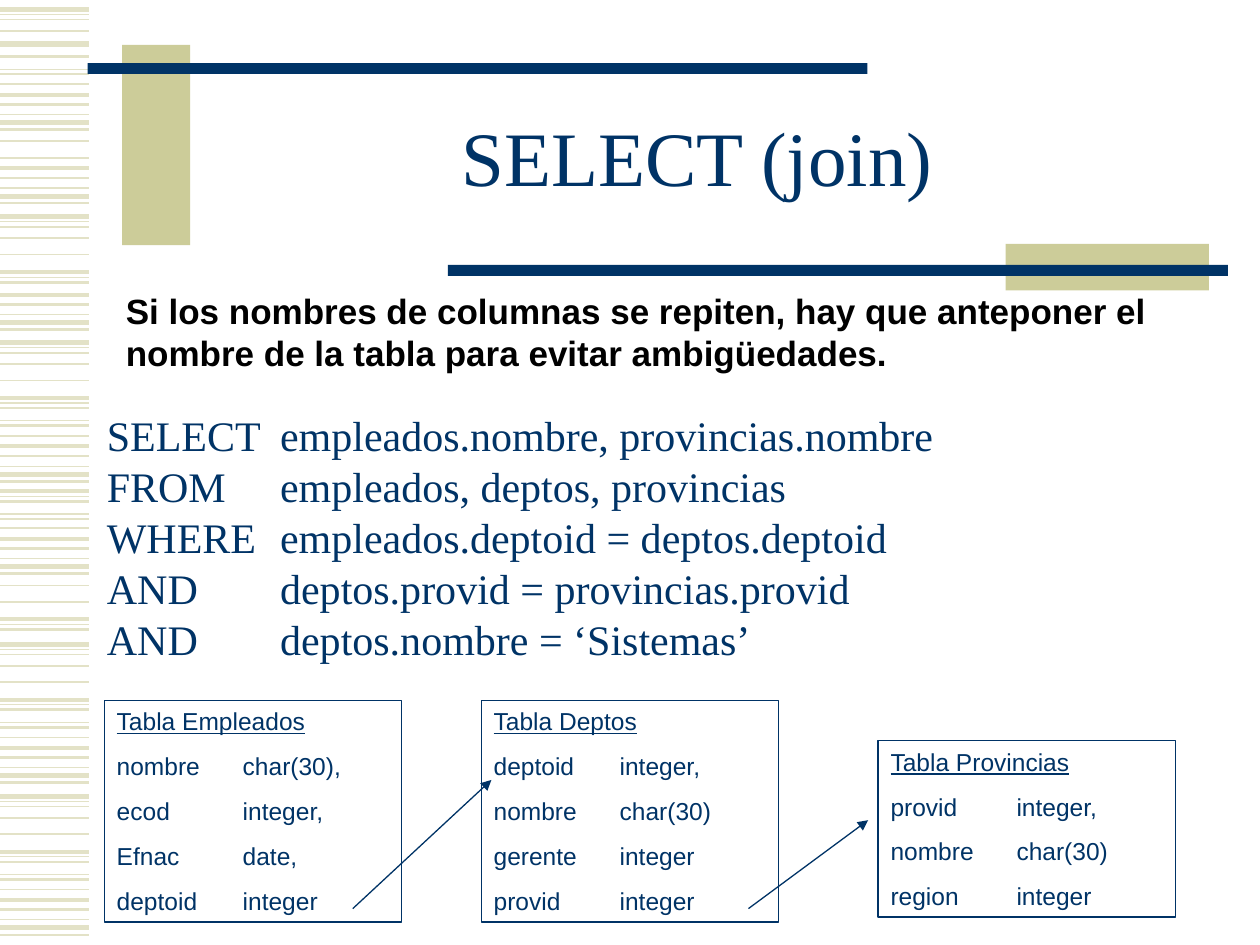
from typing import NamedTuple

from lxml.etree import SubElement
from pptx import Presentation
from pptx.dml.color import RGBColor
from pptx.enum.shapes import MSO_CONNECTOR, MSO_SHAPE
from pptx.enum.text import MSO_ANCHOR, MSO_AUTO_SIZE, PP_ALIGN
from pptx.oxml.ns import qn
from pptx.util import Pt

COLORS = {"navy": "003366", "khaki": "CCCC99", "stripe": "E3E2C7", "black": "000000"}
SERIF, SANS = "Times New Roman", "Arial"


class Area(NamedTuple):
    left: float
    top: float
    width: float
    height: float


class Style(NamedTuple):
    font: str
    size: float
    color: str = "navy"
    bold: bool = False
    underline: bool = False


class Bar(NamedTuple):
    area: Area
    color: str


class Stripe(NamedTuple):
    offset: float
    weight: float


class Band(NamedTuple):
    top: float
    stripes: list[Stripe]


class TableBox(NamedTuple):
    area: Area
    title: str
    columns: list[str]


class Arrow(NamedTuple):
    start: tuple[float, float]
    end: tuple[float, float]


# Two stripe patterns, repeated whole or in part down the left edge
LONG = [Stripe(*pair) for pair in (
    (0, 3), (2.9, 0.75), (5.9, 1), (12.4, 1), (21.7, 1),
    (31.7, 2.25), (34.6, 0.75), (37.5, 1.5), (44.7, 0.75), (47.5, 1.5))]
SHORT = [Stripe(*pair) for pair in (
    (0, 1), (6, 2.25), (11.6, 1.5), (17.3, 0.75), (21.9, 3), (25.9, 1.5))]

BANDS = [
    *[Band(top, SHORT) for top in (508.3, 421.4, 301.8, 249.1, 90.2, 48.1)],
    Band(162.5, SHORT[1:]),
    *[Band(top, LONG) for top in (455, 368.1, 195.7)],
    Band(322.2, LONG[3:8]),
    Band(249.1, LONG[5:]),
    Band(123.8, LONG[:8]),
    Band(59, LONG[4:5]),
    Band(25.2, LONG[:1]),
    Band(5.3, LONG[:4]),
    Band(-5.1, LONG[7:]),
]

BARS = [
    Bar(Area(69.8, 25.6, 38.9, 114.5), "khaki"),
    Bar(Area(50, 36, 445.7, 6.2), "navy"),
    Bar(Area(574.6, 139.4, 116.2, 26.6), "khaki"),
    Bar(Area(256, 151.4, 445.7, 6.2), "navy"),
]

QUERY = [
    "SELECT \templeados.nombre, provincias.nombre",
    "FROM \templeados, deptos, provincias",
    "WHERE\templeados.deptoid = deptos.deptoid",
    "AND\t\tdeptos.provid = provincias.provid",
    "AND\t\tdeptos.nombre = ‘Sistemas’",
]

TABLES = [
    TableBox(Area(275, 400.2, 170, 126.7), "Tabla Deptos",
             ["deptoid \tinteger,", "nombre \tchar(30)", "gerente \tinteger", "provid\tinteger"]),
    TableBox(Area(501.8, 423.2, 170, 100.8), "Tabla Provincias",
             ["provid \tinteger,", "nombre \tchar(30)", "region \tinteger"]),
    TableBox(Area(59.6, 400.2, 170, 126.7), "Tabla Empleados",
             ["nombre \tchar(30),", "ecod \tinteger,", "Efnac\tdate,", "deptoid \tinteger"]),
]

ARROWS = [
    Arrow((201.6, 519.2), (280.8, 445.7)),
    Arrow((427.7, 519.2), (496.1, 468.7)),
]


def color(name: str) -> RGBColor:
    return RGBColor.from_string(COLORS[name])


def draw_line(page, start: tuple, end: tuple, name: str, weight: float):
    line = page.shapes.add_connector(MSO_CONNECTOR.STRAIGHT, *map(Pt, (*start, *end)))
    line.line.color.rgb = color(name)
    line.line.width = Pt(weight)
    SubElement(line._element.spPr, qn("a:effectLst"))
    return line


def draw_arrow(page, arrow: Arrow) -> None:
    line = draw_line(page, arrow.start, arrow.end, "navy", 0.75)
    SubElement(line.line._get_or_add_ln(), qn("a:tailEnd"), type="triangle")


def draw_rectangle(page, area: Area):
    box = page.shapes.add_shape(MSO_SHAPE.RECTANGLE, *map(Pt, area))
    box.shadow.inherit = False
    return box


def draw_bar(page, bar: Bar) -> None:
    box = draw_rectangle(page, bar.area)
    box.fill.solid()
    box.fill.fore_color.rgb = color(bar.color)
    box.line.fill.background()


def add_tabs(para) -> None:
    """Set a left tab stop every 72 points."""
    tabs = SubElement(para._p.get_or_add_pPr(), qn("a:tabLst"))
    for index in range(8):
        SubElement(tabs, qn("a:tab"), pos=str(Pt(72 * index)), algn="l")


def write_lines(box, lines: list[tuple[str, Style]], before: float = 0,
                spacing: float = 1, align=PP_ALIGN.LEFT, hanging: float = 0) -> None:
    frame = box.text_frame
    frame.word_wrap = True
    for index, (text, style) in enumerate(lines):
        para = frame.add_paragraph() if index else frame.paragraphs[0]
        para.alignment = align
        para.line_spacing = spacing
        para.space_before = Pt(before)
        add_tabs(para)
        if hanging:
            properties = para._p.get_or_add_pPr()
            properties.set("marL", str(Pt(hanging)))
            properties.set("indent", str(Pt(-hanging)))
        span = para.add_run()
        span.text = text
        span.font.name = style.font
        span.font.size = Pt(style.size)
        span.font.bold = style.bold
        span.font.underline = style.underline
        span.font.color.rgb = color(style.color)


def draw_table_box(page, table: TableBox) -> None:
    box = draw_rectangle(page, table.area)
    box.fill.background()
    box.line.color.rgb = color("navy")
    box.line.width = Pt(0.75)
    box.text_frame.vertical_anchor = MSO_ANCHOR.TOP
    box.text_frame.auto_size = MSO_AUTO_SIZE.SHAPE_TO_FIT_TEXT
    lines = [(table.title, Style(SANS, 14, underline=True))]
    lines += [(column, Style(SANS, 14)) for column in table.columns]
    write_lines(box, lines, before=8.8)


def main() -> None:
    deck = Presentation()
    deck.slide_width, deck.slide_height = Pt(720), Pt(540)
    page = deck.slides.add_slide(deck.slide_layouts[6])

    # Decoration: striped edge and title bars
    for band in BANDS:
        for stripe in band.stripes:
            y = band.top + stripe.offset
            draw_line(page, (0, y), (51, y), "stripe", stripe.weight)
    for bar in BARS:
        draw_bar(page, bar)

    # Title
    title = page.shapes.add_textbox(*map(Pt, Area(108, 48.2, 581, 90)))
    title.text_frame.vertical_anchor = MSO_ANCHOR.MIDDLE
    write_lines(title, [("SELECT (join)", Style(SERIF, 44))],
                spacing=0.85, align=PP_ALIGN.CENTER)

    # Query
    query = page.shapes.add_textbox(*map(Pt, Area(54, 236.2, 626.4, 175.7)))
    write_lines(query, [(line, Style(SERIF, 24)) for line in QUERY],
                before=6, spacing=0.8, hanging=27)

    # Table definitions and the keys that join them
    for table in TABLES:
        draw_table_box(page, table)
    for arrow in ARROWS:
        draw_arrow(page, arrow)

    # Explanation
    note = page.shapes.add_textbox(*map(Pt, Area(64.8, 162, 629.3, 55.4)))
    note.text_frame.auto_size = MSO_AUTO_SIZE.SHAPE_TO_FIT_TEXT
    write_lines(note, [("Si los nombres de columnas se repiten, hay que anteponer el "
                        "nombre de la tabla para evitar ambigüedades.",
                        Style(SANS, 20, "black", bold=True))], before=12.5)

    deck.save("out.pptx")


if __name__ == "__main__":
    main()
